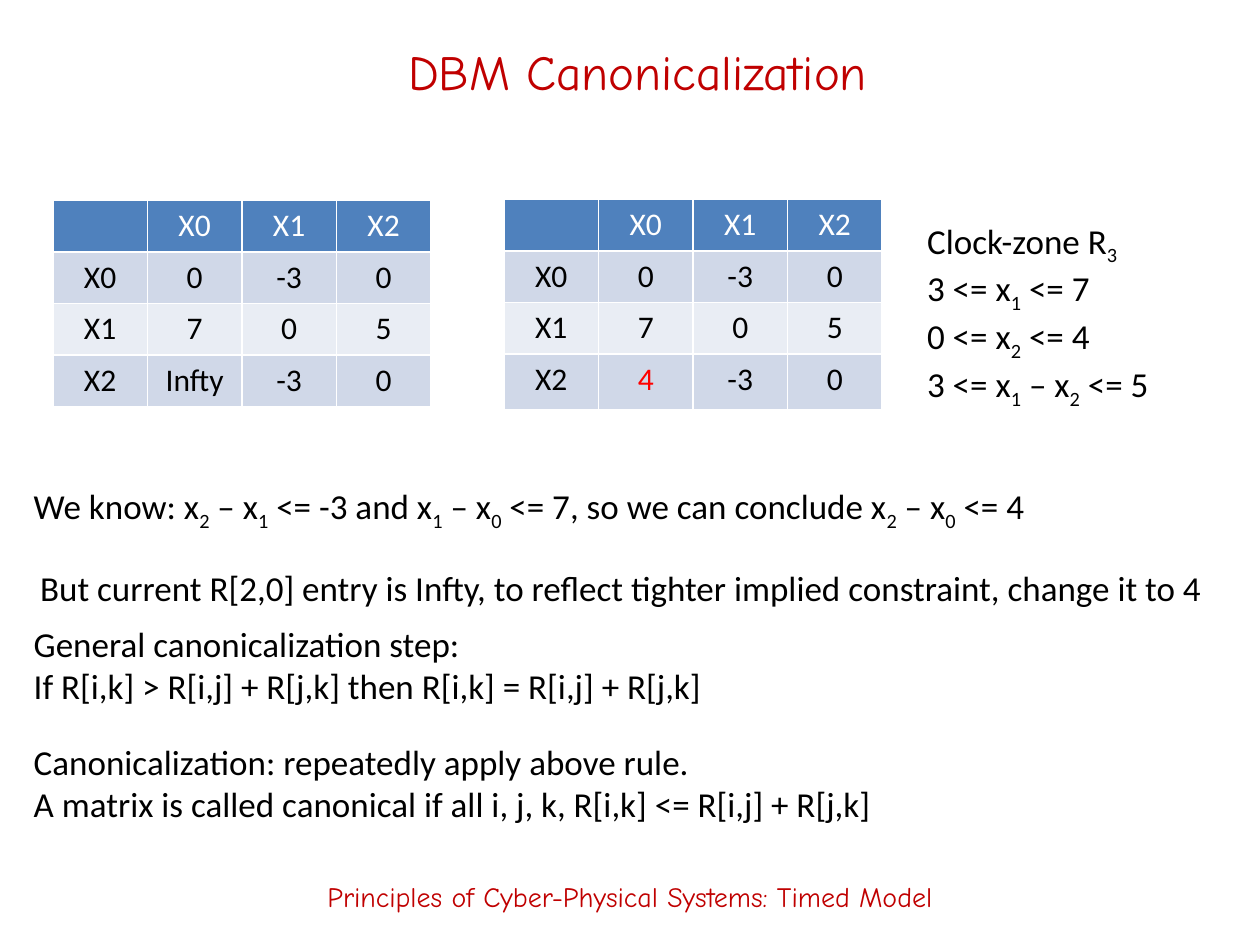
from pptx import Presentation
from pptx.dml.color import RGBColor
from pptx.enum.text import MSO_ANCHOR as Anchor, MSO_AUTO_SIZE as Fit, PP_ALIGN as Align
from pptx.util import Pt

TITLE = "DBM Canonicalization"
FOOTER = "Principles of Cyber-Physical Systems: Timed Model"
HEAD = ["", "X0", "X1", "X2"]
ROWS = [HEAD, ["X0", "0", "-3", "0"], ["X1", "7", "0", "5"]]
BANDS = ["4F81BD", "D0D8E8", "E9EDF4", "D0D8E8"]
TABLES = [
    ((30.2, 114.5), ROWS + [["X2", "Infty", "-3", "0"]], 29.5, None),
    ((288, 113.8), ROWS + [["X2", "4", "-3", "0"]], 31.7, (3, 1)),
]
NOTES = [
    ((12.2, 273.6, 590.4, 31.7), Align.LEFT, [
        "We know: x_2 – x_1 <= -3 and x_1 – x_0 <= 7, so we can conclude x_2 – x_0 <= 4"]),
    ((12.2, 320.4, 685.4, 31.7), Align.CENTER, [
        "But current R[2,0] entry is Infty, to reflect tighter implied constraint, change it to 4"]),
    ((12.2, 352.1, 403.9, 55.4), Align.LEFT, [
        "General canonicalization step:",
        "If R[i,k] > R[i,j] + R[j,k] then R[i,k] = R[i,j] + R[j,k]"]),
    ((12.2, 419.8, 502.6, 55.4), Align.LEFT, [
        "Canonicalization: repeatedly apply above rule.",
        "A matrix is called canonical if all i, j, k, R[i,k] <= R[i,j] + R[j,k]"]),
    ((522.7, 121.7, 144, 104.4), Align.LEFT, [
        "Clock-zone R_3", "3 <= x_1 <= 7", "0 <= x_2 <= 4", "3 <= x_1 – x_2 <= 5"]),
]


def rgb(code):
    """Turn a hex string into a colour."""
    return RGBColor.from_string(code)


def style(para, size, color, align=Align.CENTER, face="Calibri"):
    """Set the font and alignment of a paragraph."""
    para.alignment = align
    font = para.font
    font.name, font.size, font.bold = face, Pt(size), False
    font.color.rgb = rgb(color)


def write(para, text):
    """Add text in which an underscore lowers the next character."""
    first, *rest = text.split("_")
    para.add_run().text = first
    for part in rest:
        low = para.add_run()
        low.text = part[0]
        low._r.get_or_add_rPr().set("baseline", "-25000")
        if part[1:]:
            para.add_run().text = part[1:]


def place(shape, box):
    """Move and size a shape."""
    shape.left, shape.top, shape.width, shape.height = map(Pt, box)


def banner(shape, box, text, size):
    """Format a centred red line of text."""
    place(shape, box)
    frame = shape.text_frame
    frame.word_wrap = True
    frame.vertical_anchor = Anchor.MIDDLE
    frame.text = text
    style(frame.paragraphs[0], size, "C00000", face="Comic Neue")


def add_matrix(shapes, spot, rows, last, mark):
    """Add one bound matrix, with the marked entry in red."""
    heights = [29.5] * (len(rows) - 1) + [last]
    box = (*spot, 216, sum(heights))
    table = shapes.add_table(len(rows), len(HEAD), *map(Pt, box)).table
    for r, (row, fill, height) in enumerate(zip(rows, BANDS, heights)):
        table.rows[r].height = Pt(height)
        for c, text in enumerate(row):
            cell = table.cell(r, c)
            cell.fill.solid()
            cell.fill.fore_color.rgb = rgb(fill)
            cell.text = text
            color = "FF0000" if (r, c) == mark else "000000" if r else "FFFFFF"
            style(cell.text_frame.paragraphs[0], 18, color)


def add_note(shapes, box, align, lines):
    """Add a text box with one paragraph for each line."""
    frame = shapes.add_textbox(*map(Pt, box)).text_frame
    frame.word_wrap = False
    frame.auto_size = Fit.SHAPE_TO_FIT_TEXT
    for i, line in enumerate(lines):
        para = frame.add_paragraph() if i else frame.paragraphs[0]
        style(para, 20, "000000", align)
        write(para, line)


def main():
    """Build the slide."""
    deck = Presentation()
    deck.slide_width, deck.slide_height = Pt(720), Pt(540)
    slide = deck.slides.add_slide(deck.slide_layouts[5])
    shapes = slide.shapes
    banner(shapes.title, (55.4, 12.2, 617.8, 56.2), TITLE, 28)
    for entry in TABLES:
        add_matrix(shapes, *entry)
    for entry in NOTES:
        add_note(shapes, *entry)
    foot = (0, 483.8, 720, 56.2)
    banner(shapes.add_textbox(*map(Pt, foot)), foot, FOOTER, 16)
    deck.save("out.pptx")


if __name__ == "__main__":
    main()
